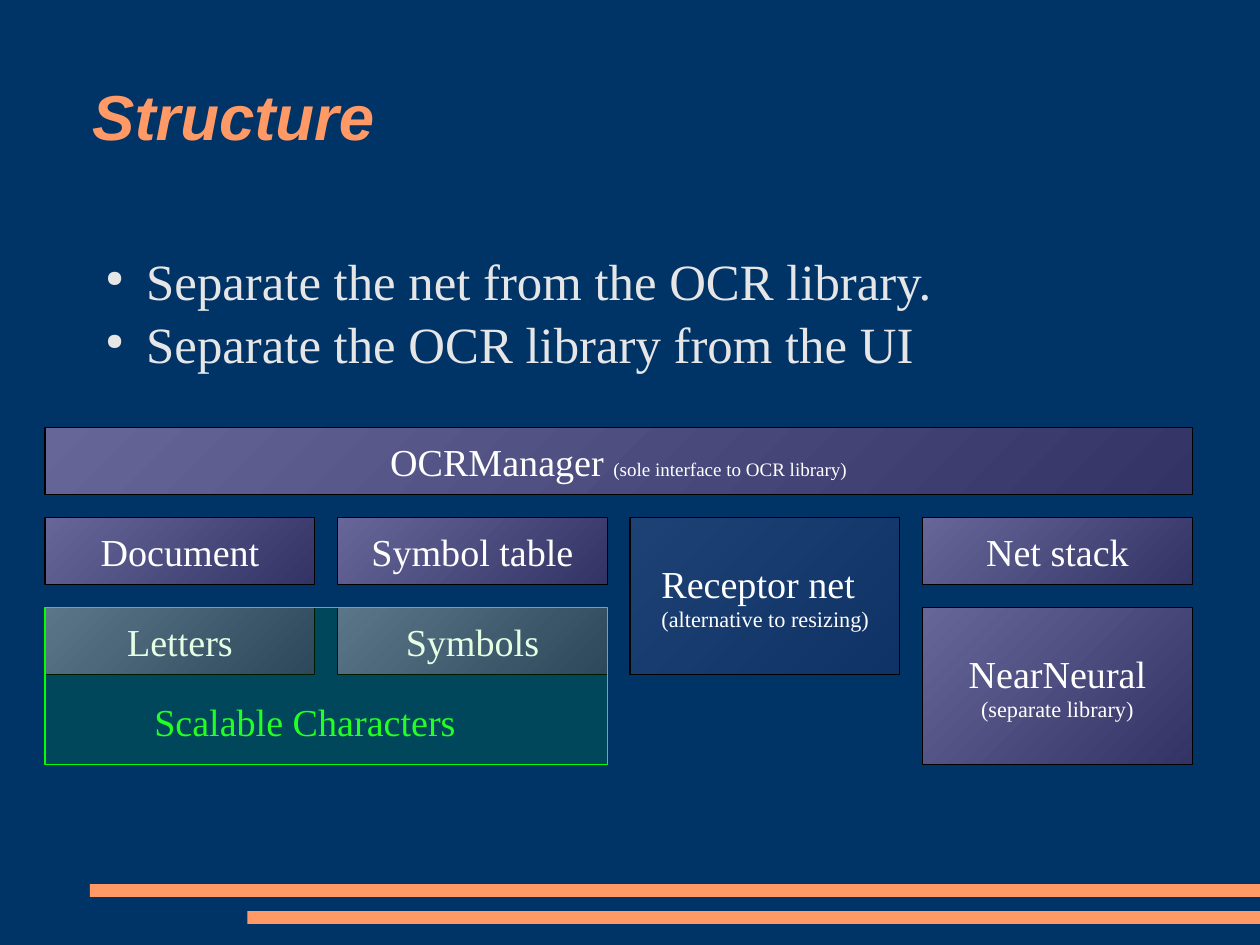
from lxml.etree import SubElement as Sub
from pptx import Presentation
from pptx.dml.color import RGBColor
from pptx.enum.shapes import MSO_SHAPE as Shape
from pptx.enum.text import MSO_ANCHOR as Anchor, MSO_AUTO_SIZE as Auto, PP_ALIGN as Align
from pptx.oxml.ns import qn
from pptx.util import Cm, Pt

WIDE, HIGH = 28, 21
SERIF = "Times New Roman"
ORANGE, GREY, WHITE, BLACK = "FF9966", "E6E6E6", "FFFFFF", "000000"
GREEN, LIME = "00FF00", "23FF23"
MAUVE = "666699", "333366"
CELL, ROW, GAP = 6, 1.5, 0.5
PARTS = [
    (0, 0, 4, 1, [[("OCRManager ", 24), ("(sole interface to OCR library)", 12)]]),
    (0, 1, 1, 1, [[("Document", 24)]]),
    (1, 1, 1, 1, [[("Symbol table", 24)]]),
    (3, 1, 1, 1, [[("Net stack", 24)]]),
    (2, 1, 1, 2, [[("Receptor net", 24)], [("(alternative to resizing)", 14)]]),
    (1, 2, 1, 1, [[("Symbols", 24)]]),
    (0, 2, 1, 1, [[("Letters", 24)]]),
    (3, 2, 1, 2, [[("NearNeural", 24)], [("(separate library)", 14)]]),
]


def paint(color, code):
    """Set a colour from a hex string."""
    color.rgb = RGBColor.from_string(code)


def fade(color, part):
    """Make a painted colour partly opaque, in percent."""
    node = color._xFill if hasattr(color, "_xFill") else color
    for tint in node.iter(qn("a:srgbClr")):
        Sub(tint, qn("a:alpha"), val=str(part * 1000))


def style(font, code, **form):
    """Apply format values and a colour to a font."""
    for key, value in form.items():
        setattr(font, key, value)
    paint(font.color, code)


def setup(frame, **form):
    """Clear the insets of a text frame and apply format values."""
    base = dict(margin_left=0, margin_right=0, margin_top=0, margin_bottom=0,
                auto_size=Auto.NONE, word_wrap=True)
    for key, value in (base | form).items():
        setattr(frame, key, value)


def block(slide, x, y, w, h, code=None, edge=None):
    """Add a flat rectangle with an optional fill and hairline."""
    rect = slide.shapes.add_shape(Shape.RECTANGLE, Cm(x), Cm(y), Cm(w), Cm(h))
    rect.shadow.inherit = False
    if code:
        rect.fill.solid()
        paint(rect.fill.fore_color, code)
    if edge:
        paint(rect.line.color, edge)
        rect.line.width = Pt(0)
    else:
        rect.line.fill.background()
    return rect


def head(slide, x, y, w, h):
    """Place and format the title."""
    title = slide.shapes.title
    title.left, title.top, title.width, title.height = map(Cm, (x, y, w, h))
    frame = title.text_frame
    frame.text = "Structure"
    setup(frame, vertical_anchor=Anchor.MIDDLE)
    para = frame.paragraphs[0]
    para.alignment = Align.LEFT
    style(para.runs[0].font, ORANGE, name="Arial", size=Pt(40), bold=True, italic=True)


def points(slide, x, y, w, h, lines):
    """Add the bulleted list."""
    frame = slide.shapes.add_textbox(Cm(x), Cm(y), Cm(w), Cm(h)).text_frame
    setup(frame)
    for i, line in enumerate(lines):
        para = frame.paragraphs[0] if i == 0 else frame.add_paragraph()
        props = para._p.get_or_add_pPr()
        props.set("marL", str(Cm(1.2)))
        props.set("indent", str(-Cm(0.9)))
        Sub(Sub(props, qn("a:buClr")), qn("a:srgbClr"), val=GREY)
        Sub(props, qn("a:buSzPct"), val="45000")
        Sub(props, qn("a:buChar"), char="●")
        if i:
            para.space_before = Pt(1.5)
        run = para.add_run()
        run.text = line
        style(run.font, GREY, name=SERIF, size=Pt(32))


def module(slide, x, y, w, h, paras, clear=False):
    """Add a gradient box with centred text, or a clear one with left text."""
    rect = block(slide, x, y, w, h, edge=BLACK)
    rect.fill.gradient()
    rect.fill.gradient_angle = 315
    for stop, code in zip(rect.fill.gradient_stops, MAUVE):
        paint(stop.color, code)
    if clear:
        fade(rect._element.spPr.find(qn("a:gradFill")), 30)
    frame = rect.text_frame
    setup(frame, vertical_anchor=Anchor.MIDDLE, margin_left=Cm(0.7 if clear else 0))
    for i, parts in enumerate(paras):
        para = frame.paragraphs[0] if i == 0 else frame.add_paragraph()
        para.alignment = Align.LEFT if clear else Align.CENTER
        for text, size in parts:
            run = para.add_run()
            run.text = text
            style(run.font, WHITE, name=SERIF, size=Pt(size))


def group(slide, x, y, w, h):
    """Add the green overlay and its label."""
    rect = block(slide, x, y, w, h, GREEN, GREEN)
    fade(rect._element.spPr.find(qn("a:solidFill")), 10)
    label = slide.shapes.add_textbox(Cm(x + 2.43), Cm(y + 2.03), Cm(8), Cm(1.17))
    setup(label.text_frame, word_wrap=False)
    run = label.text_frame.paragraphs[0].add_run()
    run.text = "Scalable Characters"
    style(run.font, LIME, name=SERIF, size=Pt(24))


def chart(slide, x, y):
    """Lay the modules out on a grid and mark the scalable ones."""
    def cell(col, row, cols, rows):
        """Return the box of a span of grid cells."""
        return (x + col * (CELL + GAP), y + row * (ROW + GAP),
                cols * (CELL + GAP) - GAP, rows * (ROW + GAP) - GAP)

    for col, row, cols, rows, paras in PARTS:
        module(slide, *cell(col, row, cols, rows), paras, clear=col == 2)
    group(slide, *cell(0, 2, 2, 2))


def main():
    """Build and save the slide."""
    deck = Presentation()
    deck.slide_width, deck.slide_height = Cm(WIDE), Cm(HIGH)
    slide = deck.slides.add_slide(deck.slide_layouts[5])
    back = slide.background.fill
    back.solid()
    paint(back.fore_color, "003366")
    for x, y in (2, 19.65), (5.5, 20.25):
        block(slide, x, y, WIDE - x, 0.28, ORANGE)
    head(slide, 2.05, 0.8, 23.9, 3.5)
    points(slide, 2.05, 5.55, 24.35, 3.07, [
        "Separate the net from the OCR library.",
        "Separate the OCR library from the UI",
    ])
    chart(slide, 1, 9.5)
    deck.save("out.pptx")


if __name__ == "__main__":
    main()
